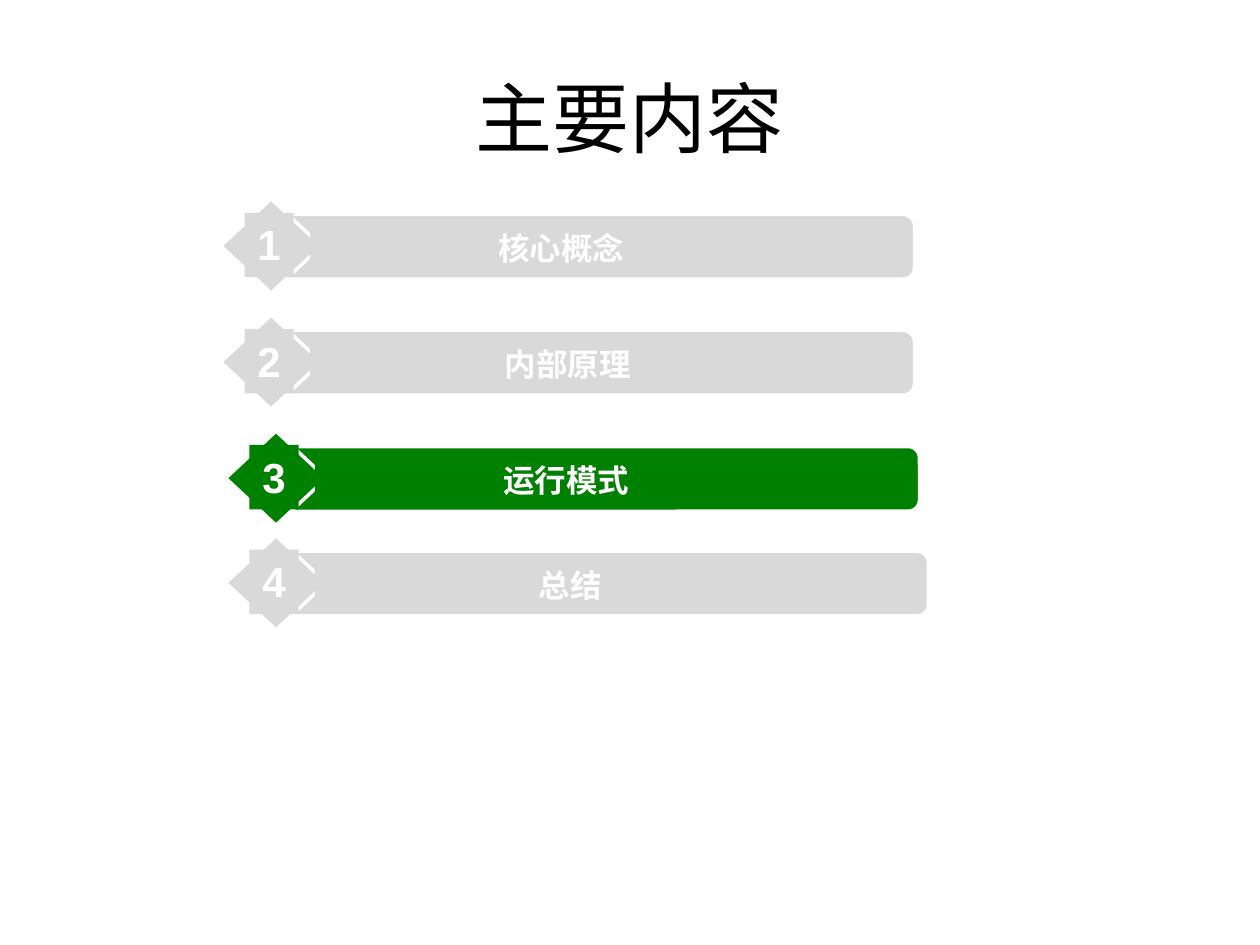
from pptx import Presentation
from pptx.dml.color import RGBColor
from pptx.enum.shapes import MSO_SHAPE as Preset
from pptx.enum.text import MSO_ANCHOR as Anchor, MSO_AUTO_SIZE as AutoSize, PP_ALIGN as Align
from pptx.util import Cm, Pt

WHITE = RGBColor(0xFF, 0xFF, 0xFF)
BLACK = RGBColor(0, 0, 0)
GREY = RGBColor(0xD9, 0xD9, 0xD9)
GREEN = RGBColor(0, 0x80, 0)
FONT = "Arial"

# Number, caption, left, top, bar width, caption width (cm), colour; back to front
AGENDA = [
    ("1", "核心概念", 4.45, 4.01, 12.85, 10.13, GREY),
    ("2", "内部原理", 4.45, 6.35, 12.85, 10.39, GREY),
    ("4", "总结", 4.55, 10.8, 13.03, 10.29, GREY),
    ("3", "运行模式", 4.55, 8.69, 12.85, 10.13, GREEN),
]


def write_text(box, text, size, color, bold=False, wrap=True):
    frame = box.text_frame
    frame.text = text
    frame.word_wrap = wrap
    para = frame.paragraphs[0]
    para.alignment = Align.CENTER
    font = para.runs[0].font
    font.name = FONT
    font.size = Pt(size)
    font.bold = bold
    font.color.rgb = color


def add_title(page, text):
    box = page.shapes.add_textbox(Cm(1.27), Cm(0.76), Cm(22.86), Cm(3.18))
    box.text_frame.vertical_anchor = Anchor.MIDDLE
    write_text(box, text, 44, BLACK)


def add_block(group, preset, left, top, width, height, color, outline=None):
    block = group.shapes.add_shape(preset, Cm(left), Cm(top), Cm(width), Cm(height))
    block.shadow.inherit = False
    block.fill.solid()
    block.fill.fore_color.rgb = color
    if outline:
        block.line.color.rgb = WHITE
        block.line.width = Pt(outline)
    else:
        block.line.fill.background()
    return block


def add_label(group, text, left, top, width, height, color, size, wrap):
    label = add_block(group, Preset.RECTANGLE, left, top, width, height, color)
    write_text(label, text, size, WHITE, bold=True, wrap=wrap)
    label.text_frame.vertical_anchor = Anchor.TOP
    label.text_frame.auto_size = AutoSize.SHAPE_TO_FIT_TEXT


def add_agenda_item(page, number, caption, left, top, bar_width, caption_width, color):
    group = page.shapes.add_group_shape()
    # Bar with the diamond marker over its left end
    bar = add_block(group, Preset.ROUNDED_RECTANGLE, left + 1.12, top + 0.33,
                    bar_width, 1.27, color, outline=1)
    bar.adjustments[0] = 0.167
    add_block(group, Preset.DIAMOND, left, top, 2.03, 1.9, color, outline=2)
    # Caption and number
    add_label(group, caption, left + 1.8, top + 0.48, caption_width, 1.02, color, 18, True)
    add_label(group, number, left + 0.48, top + 0.28, 0.99, 1.3, color, 24, False)


def main():
    deck = Presentation()
    deck.slide_width, deck.slide_height = Cm(25.4), Cm(19.05)
    page = deck.slides.add_slide(deck.slide_layouts[6])
    add_title(page, "主要内容")
    for item in AGENDA:
        add_agenda_item(page, *item)
    deck.save("out.pptx")


if __name__ == "__main__":
    main()
